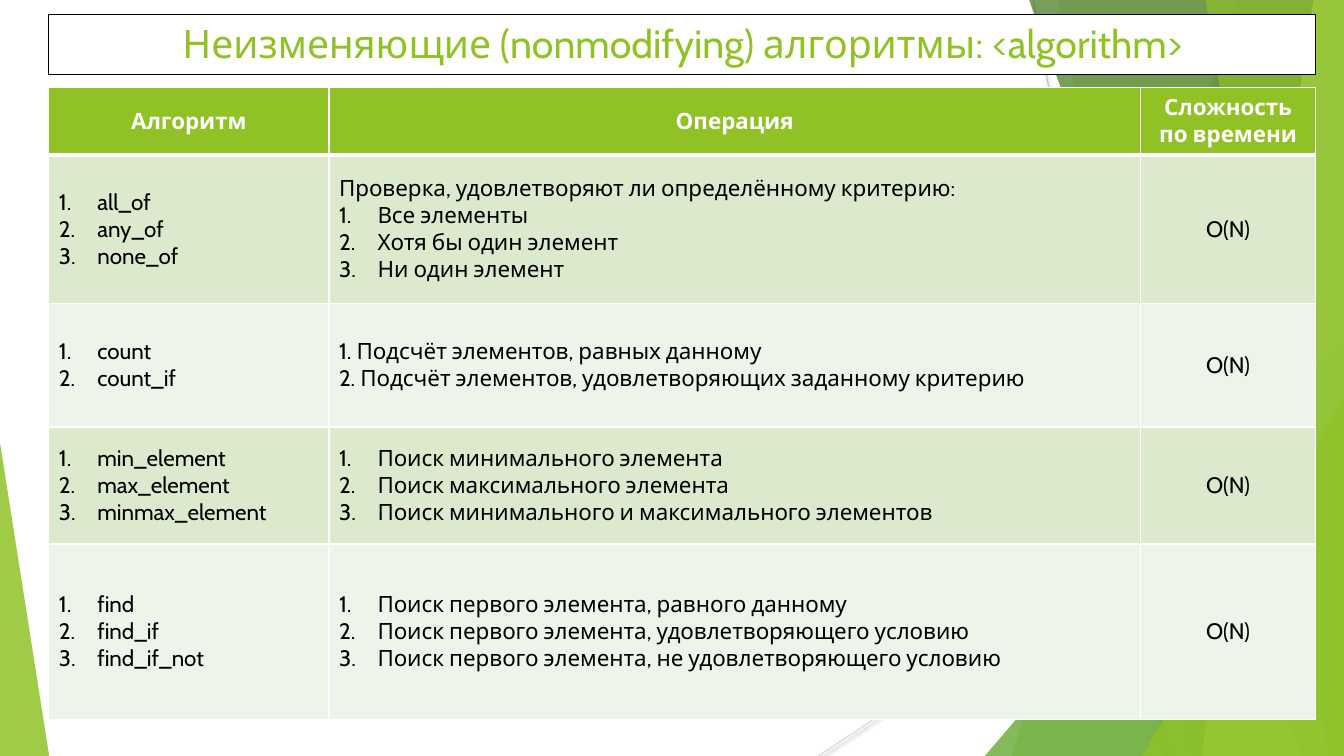
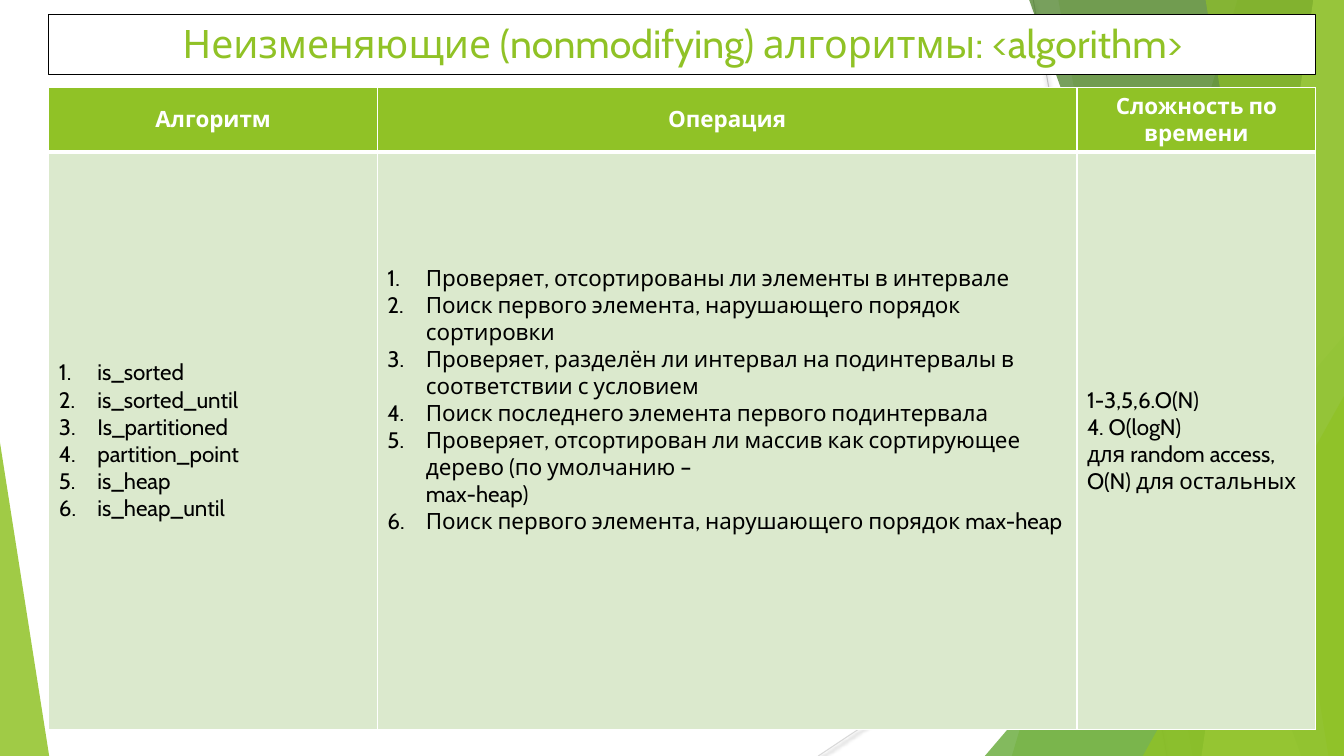
from collections import namedtuple
from copy import deepcopy

from lxml.etree import SubElement
from pptx import Presentation
from pptx.dml.color import RGBColor
from pptx.enum.shapes import MSO_CONNECTOR, MSO_SHAPE
from pptx.enum.text import MSO_ANCHOR, PP_ALIGN
from pptx.oxml.ns import qn
from pptx.util import Cm, Pt

# Shared style
FONT = "Cabin"
GREEN, WHITE, BLACK = "90C226", "FFFFFF", "000000"
ROW_FILLS = ("DBE9CD", "EEF4E8")
WIDTH, HEIGHT = 33.87, 19.05
LEFT, CONTENT_WIDTH = 1.23, 31.93
TABLE_TOP = 2.21
HANGING = 0.97
TITLE = "Неизменяющие (nonmodifying) алгоритмы: <algorithm>"
HEADERS = ("Алгоритм", "Операция", "Сложность по времени")

# Background: lines as x1, y1, x2, y2; bands as top x, bottom x; triangles as left, top, apex
LINES = ((26.04, 0, 29.41, HEIGHT, "BFBFBF"), (WIDTH, 10.24, 20.62, HEIGHT, "D9D9D9"))
BACK_BANDS = ((31.19, 25.5, GREEN, 30), (26.67, 30.05, GREEN, 20))
FRONT_BANDS = ((25.93, 32.79, "3F7819", 70), (33.1, 30.28, "C0E474", 70),
               (30.38, 33.48, GREEN, 65))

Line = namedtuple("Line", "text numbered centered", defaults=(False, False))


def numbered(*texts):
    return [Line(text, numbered=True) for text in texts]


def plain(*texts):
    return [Line(text) for text in texts]


def centered(text):
    return [Line(text, centered=True)]


def color(value):
    return RGBColor.from_string(value)


def set_fill(target, value, opacity=100):
    target.fill.solid()
    target.fill.fore_color.rgb = color(value)
    if opacity < 100:
        rgb = target._element.spPr.find(qn("a:solidFill")).find(qn("a:srgbClr"))
        SubElement(rgb, qn("a:alpha"), val=str(opacity * 1000))


def write_text(frame, lines, size=16, font_color=BLACK, bold=False):
    frame.word_wrap = True
    for index, line in enumerate(lines):
        paragraph = frame.add_paragraph() if index else frame.paragraphs[0]
        paragraph.text = line.text
        paragraph.alignment = PP_ALIGN.CENTER if line.centered else PP_ALIGN.LEFT
        for run in paragraph.runs:
            run.font.name = FONT
            run.font.size = Pt(size)
            run.font.bold = bold
            run.font.color.rgb = color(font_color)
        for line_break in paragraph._p.findall(qn("a:br")):
            line_break.append(deepcopy(paragraph.runs[0]._r.rPr))
        if line.numbered:
            properties = paragraph._p.get_or_add_pPr()
            properties.set("marL", str(Cm(HANGING)))
            properties.set("indent", str(-Cm(HANGING)))
            SubElement(properties, qn("a:buFont"), typeface="+mj-lt")
            SubElement(properties, qn("a:buAutoNum"), type="arabicPeriod")


# Background elements
def add_line(slide, x1, y1, x2, y2, line_color):
    line = slide.shapes.add_connector(MSO_CONNECTOR.STRAIGHT, Cm(x1), Cm(y1), Cm(x2), Cm(y2))
    line.line.color.rgb = color(line_color)
    line.line.width = Pt(0.75)
    effects = SubElement(line._element.spPr, qn("a:effectLst"))
    shadow = SubElement(effects, qn("a:outerShdw"), blurRad=str(Pt(3.1)), dist=str(Pt(1.6)),
                        dir="5400000", rotWithShape="0")
    shadow_color = SubElement(shadow, qn("a:srgbClr"), val=BLACK)
    SubElement(shadow_color, qn("a:alpha"), val="38000")


def finish_facet(shape, fill, opacity):
    shape.shadow.inherit = False
    shape.line.fill.background()
    set_fill(shape, fill, opacity)


def add_band(slide, top_x, bottom_x, fill, opacity):
    builder = slide.shapes.build_freeform(Cm(top_x), Cm(-0.02))
    corners = ((WIDTH, -0.02), (WIDTH, HEIGHT), (bottom_x, HEIGHT))
    builder.add_line_segments([(Cm(x), Cm(y)) for x, y in corners], close=True)
    finish_facet(builder.convert_to_shape(), fill, opacity)


def add_triangle(slide, left, top, width, apex, fill, opacity):
    triangle = slide.shapes.add_shape(MSO_SHAPE.ISOSCELES_TRIANGLE, Cm(left), Cm(top),
                                      Cm(width), Cm(HEIGHT - top))
    triangle.adjustments[0] = apex
    finish_facet(triangle, fill, opacity)


def add_background(slide):
    for line in LINES:
        add_line(slide, *line)
    for band in BACK_BANDS:
        add_band(slide, *band)
    add_triangle(slide, 24.82, 8.46, 9.05, 1, "54A021", 72)
    for band in FRONT_BANDS:
        add_band(slide, *band)
    add_triangle(slide, 28.8, 9.98, 5.07, 1, GREEN, 80)
    add_triangle(slide, 0, 11.15, 1.24, 0, GREEN, 85)


def add_title(slide):
    box = slide.shapes.add_shape(MSO_SHAPE.RECTANGLE, Cm(LEFT), Cm(0.36),
                                 Cm(CONTENT_WIDTH), Cm(1.52))
    box.shadow.inherit = False
    set_fill(box, WHITE)
    box.line.color.rgb = color(BLACK)
    box.line.width = Pt(0.75)
    frame = box.text_frame
    frame.vertical_anchor = MSO_ANCHOR.MIDDLE
    frame.margin_top, frame.margin_bottom = Cm(0), Cm(0.1)
    write_text(frame, centered(TITLE), size=28, font_color=GREEN)


# Table
def set_borders(cell, top, bottom):
    properties = cell._tc.get_or_add_tcPr()
    for side, width in (("L", 1), ("R", 1), ("T", top), ("B", bottom)):
        border = SubElement(properties, qn(f"a:ln{side}"), w=str(Pt(width)))
        fill = SubElement(border, qn("a:solidFill"))
        SubElement(fill, qn("a:srgbClr"), val=WHITE)


def add_algorithm_table(slide, column_widths, row_heights, body):
    rows = [[centered(header) for header in HEADERS], *body]
    table = slide.shapes.add_table(len(rows), len(HEADERS), Cm(LEFT), Cm(TABLE_TOP),
                                   Cm(CONTENT_WIDTH), Cm(sum(row_heights))).table
    table.horz_banding = False
    for column, width in zip(table.columns, column_widths):
        column.width = Cm(width)
    for row, height in zip(table.rows, row_heights):
        row.height = Cm(height)
    for row_index, row in enumerate(rows):
        header = row_index == 0
        fill = GREEN if header else ROW_FILLS[(row_index - 1) % 2]
        for column_index, lines in enumerate(row):
            cell = table.cell(row_index, column_index)
            set_borders(cell, top=3 if row_index == 1 else 1, bottom=3 if header else 1)
            set_fill(cell, fill)
            cell.vertical_anchor = MSO_ANCHOR.MIDDLE
            write_text(cell.text_frame, lines, bold=header,
                       font_color=WHITE if header else BLACK)
    return table


def add_algorithm_slide(presentation, column_widths, row_heights, body):
    slide = presentation.slides.add_slide(presentation.slide_layouts[6])
    add_background(slide)
    add_title(slide)
    return add_algorithm_table(slide, column_widths, row_heights, body)


# Content
SEARCH_ROWS = [
    [numbered("all_of", "any_of", "none_of"),
     plain("Проверка, удовлетворяют ли определённому критерию:")
     + numbered("Все элементы", "Хотя бы один элемент", "Ни один элемент"),
     centered("O(N)")],
    [numbered("count", "count_if"),
     plain("1. Подсчёт элементов, равных данному",
           "2. Подсчёт элементов, удовлетворяющих заданному критерию"),
     centered("O(N)")],
    [numbered("min_element", "max_element", "minmax_element"),
     numbered("Поиск минимального элемента", "Поиск максимального элемента",
              "Поиск минимального и максимального элементов"),
     centered("O(N)")],
    [numbered("find", "find_if", "find_if_not"),
     numbered("Поиск первого элемента, равного данному",
              "Поиск первого элемента, удовлетворяющего условию",
              "Поиск первого элемента, не удовлетворяющего условию"),
     centered("O(N)")],
]
ORDER_ROWS = [
    [numbered("is_sorted", "is_sorted_until", "Is_partitioned", "partition_point",
              "is_heap", "is_heap_until"),
     numbered("Проверяет, отсортированы ли элементы в интервале",
              "Поиск первого элемента, нарушающего порядок сортировки",
              "Проверяет, разделён ли интервал на подинтервалы в соответствии с условием",
              "Поиск последнего элемента первого подинтервала",
              "Проверяет, отсортирован ли массив как сортирующее дерево "
              "(по умолчанию – \vmax-heap)",
              "Поиск первого элемента, нарушающего порядок max-heap"),
     plain("1-3,5,6.O(N)", "4. O(logN)", "для random access, O(N) для остальных")],
]


def main():
    presentation = Presentation()
    presentation.slide_width = Cm(WIDTH)
    presentation.slide_height = Cm(HEIGHT)
    add_algorithm_slide(presentation, (7.06, 20.45, 4.42),
                        (1.7, 3.73, 3.12, 2.95, 4.42), SEARCH_ROWS)
    order_table = add_algorithm_slide(presentation, (8.28, 17.63, 6.02),
                                      (1.55, 14.55), ORDER_ROWS)
    # The list of operations sits above the middle of its cell
    order_table.cell(1, 1).margin_bottom = Cm(2.18)
    presentation.save("out.pptx")


main()
